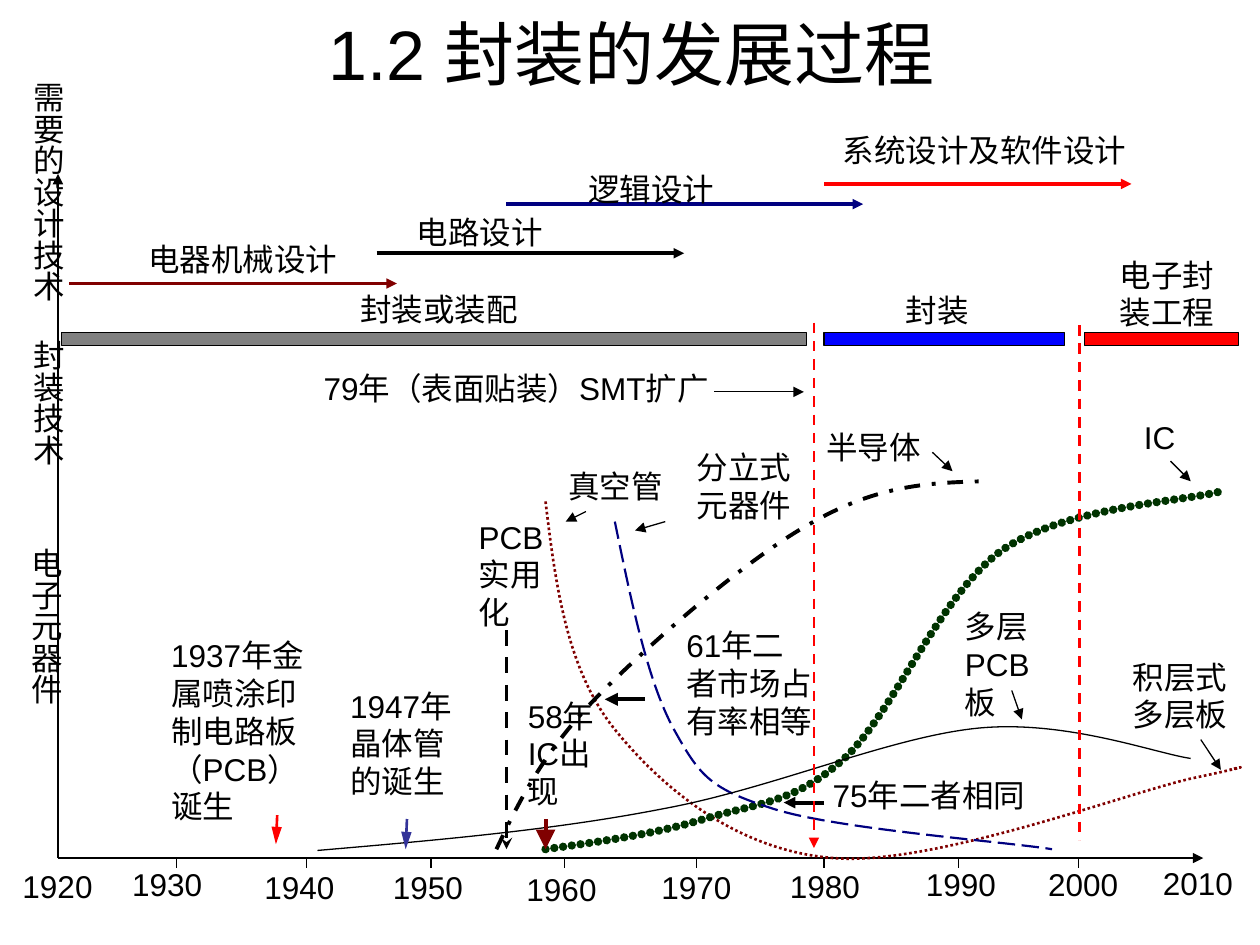
from dataclasses import dataclass

import pptx
import pptx.dml.color
import pptx.enum.dml
import pptx.enum.shapes
import pptx.enum.text
import pptx.oxml
import pptx.oxml.ns
import pptx.util

RGB = pptx.dml.color.RGBColor
DASH = pptx.enum.dml.MSO_LINE
BLACK = RGB(0x00, 0x00, 0x00)
RED = RGB(0xFF, 0x00, 0x00)
BLUE = RGB(0x00, 0x00, 0xFF)
GRAY = RGB(0x80, 0x80, 0x80)
NAVY = RGB(0x00, 0x00, 0x80)
INDIGO = RGB(0x33, 0x33, 0x99)
MAROON = RGB(0x80, 0x00, 0x00)
GREEN = RGB(0x00, 0x33, 0x00)
FONT = "Arial"
GRID_CM = 2.54  # one layout unit
SLACK = 0.04  # spare width that keeps a label on one line


def units(value):
    return pptx.util.Cm(value * GRID_CM)


@dataclass
class Box:
    """A region in layout units; its parts are placed relative to its corner."""
    left: float
    top: float
    width: float
    height: float

    def point(self, x, y):
        return units(self.left + x), units(self.top + y)


def add_element(parent, tag, content="", **attributes):
    listed = "".join(f' {name}="{value}"' for name, value in attributes.items())
    namespace = pptx.oxml.ns.nsdecls("a")
    element = pptx.oxml.parse_xml(f"<a:{tag} {namespace}{listed}>{content}</a:{tag}>")
    parent.append(element)
    return element


def write(frame, text, size=18, align=None):
    para = frame.paragraphs[0]
    para.alignment = align
    span = para.add_run()
    span.text = text
    span.font.size = pptx.util.Pt(size)
    span.font.name = FONT
    span.font.color.rgb = BLACK


def add_label(page, box, text, x, y, width, lines=1, wrap=False):
    spare = 0 if wrap else SLACK
    label = page.shapes.add_textbox(*box.point(x, y), units(width + spare),
                                    units(0.1 + 0.3 * lines))
    frame = label.text_frame
    frame.word_wrap = wrap
    frame.auto_size = pptx.enum.text.MSO_AUTO_SIZE.SHAPE_TO_FIT_TEXT
    write(frame, text)
    return label


def style_line(line, color, weight, dash=None):
    line.color.rgb = color
    line.width = pptx.util.Pt(weight)
    if dash is not None:
        line.dash_style = dash


def add_line(page, box, start, end, color=BLACK, weight=0.75, dash=None,
             head="triangle", head_width="med", head_length="med"):
    line = page.shapes.add_connector(pptx.enum.shapes.MSO_CONNECTOR.STRAIGHT,
                                     *box.point(*start), *box.point(*end))
    style_line(line.line, color, weight, dash)
    if head:
        add_element(line.line._get_or_add_ln(), "tailEnd", type=head,
                    w=head_width, len=head_length)
    add_element(line._element.spPr, "effectLst")


def add_curve(page, box, knots, color, weight, dash=None, dotted=False):
    """Draw joined cubic curves; knots are start, then two controls and an end each."""
    builder = page.shapes.build_freeform(*box.point(*knots[0]))
    builder.add_line_segments([box.point(*knot) for knot in knots[1:]], close=False)
    curve = builder.convert_to_shape()
    outline = curve._element.xpath(".//a:path")[0]
    segments = outline.xpath("./a:lnTo")
    for i in range(0, len(segments), 3):
        bend = add_element(outline, "cubicBezTo")
        for segment in segments[i:i + 3]:
            bend.append(segment[0])
            outline.remove(segment)
    curve.shadow.inherit = False
    curve.fill.background()
    style_line(curve.line, color, weight, dash)
    if dotted:
        stroke = curve.line._get_or_add_ln()
        stroke.set("cap", "rnd")
        add_element(stroke, "custDash", '<a:ds d="100000" sp="6000"/>')
        add_element(stroke, "round")


def add_title(page, box, text):
    title = page.shapes.title
    title.left, title.top = box.point(0, 0)
    title.width, title.height = units(box.width), units(box.height)
    title.text_frame.vertical_anchor = pptx.enum.text.MSO_ANCHOR.MIDDLE
    write(title.text_frame, text, size=40, align=pptx.enum.text.PP_ALIGN.CENTER)


def add_axes(page, box):
    add_line(page, box, (0, box.height), (box.width, box.height))
    add_line(page, box, (0, box.height), (0, 0))
    for x in (0.94, 1.97, 2.96, 4.02, 5.07, 6.08, 7.15, 8.1):
        add_line(page, box, (x, box.height), (x, box.height + 0.08), head=None)
    places = [(-0.38, 0.02), (0.49, 0.01), (1.54, 0.03), (2.56, 0.03), (3.62, 0.05),
              (4.69, 0.03), (5.71, 0.02), (6.79, 0.01), (7.76, 0.01), (8.67, 0)]
    for decade, (x, drop) in enumerate(places):
        add_label(page, box, str(1920 + 10 * decade), x, box.height + drop, 0.75)


def add_row_names(page, box):
    for text, x, y, height in [("电子元器件", -0.01, 3.7, 1.45), ("封装技术", 0, 2.05, 1.2),
                               ("需要的设计技术", 0, 0, 1.95)]:
        label = add_label(page, box, text, x, y, box.width)
        label.width, label.height = units(box.width), units(height)
        frame = label.text_frame
        frame._txBody.bodyPr.set("vert", "eaVert")
        frame.margin_left = frame.margin_right = units(0.05)
        frame.margin_top = frame.margin_bottom = units(0.1)


def add_design_phases(page, box):
    for text, x, y, width, start, end, level, color, weight in [
            ("电器机械设计", 1.08, 0.86, 1.7, 0.55, 3.15, 1.25, MAROON, 1.75),
            ("电路设计", 3.21, 0.64, 1.2, 2.99, 5.43, 1.01, BLACK, 2),
            ("逻辑设计", 4.57, 0.3, 1.2, 4.02, 6.85, 0.62, NAVY, 2),
            ("系统设计及软件设计", 6.59, -0.01, 2.45, 6.54, 8.98, 0.46, RED, 2)]:
        add_line(page, box, (start, level), (end, level), color, weight)
        add_label(page, box, text, x, y, width)


def add_packaging_stages(page, box):
    add_line(page, box, (6.46, 0.56), (6.46, 4.73), RED, 1.5, DASH.DASH)
    add_line(page, box, (8.57, 0.58), (8.57, 4.67), RED, 1.5, DASH.DASH, head=None)
    for x, width, color in [(0.49, 5.91, GRAY), (6.54, 1.91, BLUE), (8.61, 1.22, RED)]:
        bar = page.shapes.add_shape(pptx.enum.shapes.MSO_SHAPE.RECTANGLE,
                                    *box.point(x, 0.64), units(width), units(0.1))
        bar.shadow.inherit = False
        bar.fill.solid()
        bar.fill.fore_color.rgb = color
        style_line(bar.line, BLACK, 0.75)
    add_label(page, box, "封装或装配", 2.76, 0.25, 1.45)
    add_label(page, box, "封装", 7.09, 0.26, 0.7)
    add_label(page, box, "电子封装工程", 8.79, -0.02, 1.06, lines=2, wrap=True)
    add_line(page, box, (5.67, 1.11), (6.38, 1.11))
    add_label(page, box, "79年（表面贴装）SMT扩广", 2.47, 0.88, 3.43)


def add_device_curves(page, box):
    vacuum_tube = [(4.33, 0.98), (4.41, 1.65), (4.5, 2.32), (4.88, 2.79),
                   (5.26, 3.26), (5.85, 3.75), (6.61, 3.81),
                   (7.38, 3.88), (8.93, 3.3), (9.45, 3.18),
                   (9.97, 3.07), (9.87, 3.08), (9.76, 3.11)]
    semiconductor = [(3.94, 3.74), (4.12, 3.36), (4.3, 2.99), (4.72, 2.55),
                     (5.14, 2.12), (5.94, 1.42), (6.46, 1.14),
                     (6.97, 0.85), (7.38, 0.83), (7.8, 0.82)]
    chip = [(4.33, 3.74), (4.76, 3.68), (5.2, 3.62), (5.59, 3.5),
            (5.98, 3.38), (6.3, 3.38), (6.69, 3.03), (7.09, 2.67), (7.45, 1.73), (7.95, 1.37),
            (8.45, 1.02), (9.4, 0.98), (9.69, 0.9)]
    discrete = [(4.88, 1.14), (5.01, 1.77), (5.14, 2.41), (5.35, 2.79),
                (5.56, 3.17), (5.64, 3.26), (6.14, 3.42), (6.64, 3.58), (7.97, 3.68), (8.35, 3.74)]
    multilayer = [(2.52, 3.75), (3.45, 3.67), (4.39, 3.59), (5.26, 3.42),
                  (6.13, 3.26), (7.06, 2.85), (7.76, 2.78), (8.46, 2.71), (9.17, 2.98), (9.45, 3.02)]
    add_curve(page, box, vacuum_tube, MAROON, 1.5, DASH.ROUND_DOT)
    add_curve(page, box, semiconductor, BLACK, 2.25, DASH.DASH_DOT)
    add_curve(page, box, chip, GREEN, 4.75, dotted=True)
    add_curve(page, box, discrete, NAVY, 1.25, DASH.LONG_DASH)
    add_curve(page, box, multilayer, BLACK, 0.75)


def add_device_notes(page, box):
    add_line(page, box, (4.02, 2), (4.02, 3.74), BLACK, 2.25, DASH.DASH, head="stealth")
    for start, end, color, weight, head_width, head_length in [
            ((2.2, 3.47), (2.19, 3.7), RED, 1.5, "med", "lg"),
            ((3.23, 3.5), (3.22, 3.74), INDIGO, 1.5, "med", "lg"),
            ((4.33, 3.5), (4.33, 3.74), MAROON, 2.25, "lg", "lg"),
            ((5.12, 2.55), (4.8, 2.55), BLACK, 2.5, "med", "med"),
            ((6.54, 3.37), (6.22, 3.37), BLACK, 2.25, "med", "med")]:
        add_line(page, box, start, end, color, weight,
                 head_width=head_width, head_length=head_length)
    for start, end in [((4.65, 1.06), (4.49, 1.14)), ((7.4, 0.59), (7.56, 0.74)),
                       ((9.29, 0.66), (9.45, 0.82)), ((5.28, 1.14), (5.04, 1.21)),
                       ((8.03, 2.48), (8.11, 2.71)), ((9.53, 2.87), (9.69, 3.11))]:
        add_line(page, box, start, end)
    for text, x, y, width, lines in [
            ("真空管", 4.41, 0.66, 0.95, 1), ("半导体", 6.46, 0.35, 0.95, 1),
            ("IC", 8.98, 0.27, 0.45, 1), ("75年二者相同", 6.51, 3.11, 1.79, 1),
            ("1937年金属喷涂印制电路板（PCB）诞生", 1.26, 2, 1.34, 5),
            ("1947年晶体管的诞生", 2.68, 2.4, 1.02, 4),
            ("PCB实用化", 3.7, 1.06, 0.81, 3), ("58年IC出现", 4.09, 2.48, 0.81, 3),
            ("分立式元器件", 5.43, 0.51, 1.05, 2), ("61年二者市场占有率相等", 5.35, 1.92, 1.2, 3),
            ("多层PCB板", 7.56, 1.77, 0.87, 3), ("积层式多层板", 8.89, 2.17, 1.11, 2)]:
        add_label(page, box, text, x, y, width, lines, wrap=lines > 1)


def main():
    deck = pptx.Presentation()
    deck.slide_width, deck.slide_height = units(10), units(7.5)
    page = deck.slides.add_slide(deck.slide_layouts[5])
    add_title(page, Box(0.51, 0, 9, 0.84), "1.2 封装的发展过程")
    add_axes(page, Box(0.46, 1.38, 9.09, 5.43))
    devices = Box(0, 3, 10, 3.81)
    add_device_curves(page, devices)
    add_device_notes(page, devices)
    add_packaging_stages(page, Box(0, 2, 10, 1.3))
    add_design_phases(page, Box(0, 1, 10, 1.3))
    add_row_names(page, Box(0.08, 0.55, 0.5, 5.15))
    deck.save("out.pptx")


if __name__ == "__main__":
    main()
